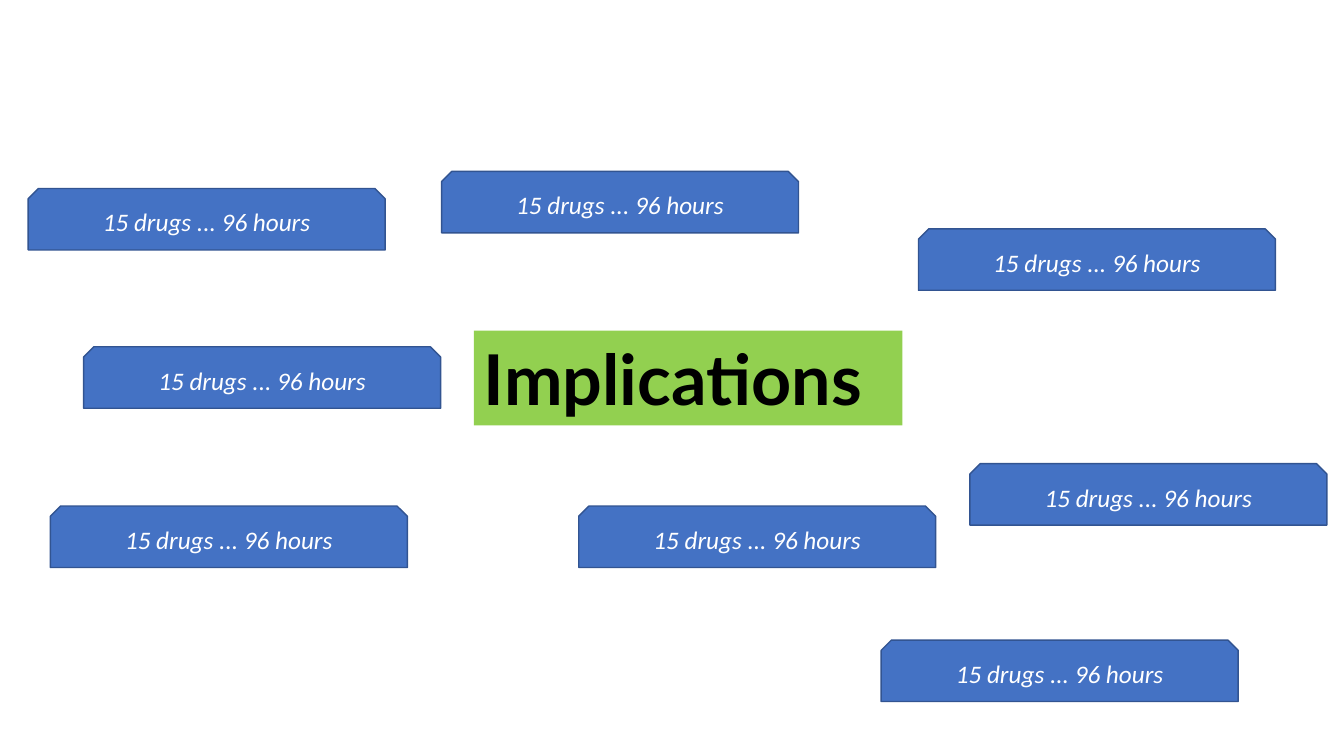
from pptx import Presentation
from pptx import util as u
from pptx.dml.color import RGBColor
from pptx.enum import shapes, text

COLORS = {"heading": "92D050", "tag": "4472C4", "edge": "325491",
          "dark": "000000", "light": "FFFFFF"}
HEADING_FONT = {"name": "Lato", "size": u.Pt(50), "bold": True}
TAG_FONT = {"name": "Calibri", "size": u.Pt(18), "italic": True}
TAG_SIZE = (3.54, 0.61)
# Left and top of each scattered tag, in inches
TAG_SPOTS = [(0.28, 1.87), (9.62, 4.6), (9.11, 2.27), (5.74, 5.02),
             (0.83, 3.44), (0.5, 5.02), (8.74, 6.35), (4.38, 1.7)]


def rgb(name):
    return RGBColor.from_string(COLORS[name])


def write(sp, words, font, color, align):
    tf = sp.text_frame
    tf.word_wrap = True
    p = tf.paragraphs[0]
    p.alignment = align
    r = p.add_run()
    r.text = words
    for key, value in font.items():
        setattr(r.font, key, value)
    r.font.color.rgb = rgb(color)


def add_heading(s, box, words):
    sp = s.shapes.add_textbox(*map(u.Inches, box))
    sp.fill.solid()
    sp.fill.fore_color.rgb = rgb("heading")
    write(sp, words, HEADING_FONT, "dark", text.PP_ALIGN.LEFT)


def add_tag(s, box, words):
    sp = s.shapes.add_shape(shapes.MSO_SHAPE.SNIP_2_SAME_RECTANGLE,
                            *map(u.Inches, box))
    sp.shadow.inherit = False
    sp.fill.solid()
    sp.fill.fore_color.rgb = rgb("tag")
    sp.line.color.rgb = rgb("edge")
    sp.line.width = u.Pt(1)
    sp.text_frame.vertical_anchor = text.MSO_ANCHOR.MIDDLE
    write(sp, words, TAG_FONT, "light", text.PP_ALIGN.CENTER)


def main():
    prs = Presentation()
    prs.slide_width, prs.slide_height = u.Inches(13.33), u.Inches(7.5)
    s = prs.slides.add_slide(prs.slide_layouts[6])

    # Central heading
    add_heading(s, (4.7, 3.28, 4.25, 0.94), "Implications")

    # Tags around the heading
    for spot in TAG_SPOTS:
        add_tag(s, spot + TAG_SIZE, "15 drugs ... 96 hours")

    prs.save("out.pptx")


if __name__ == "__main__":
    main()
